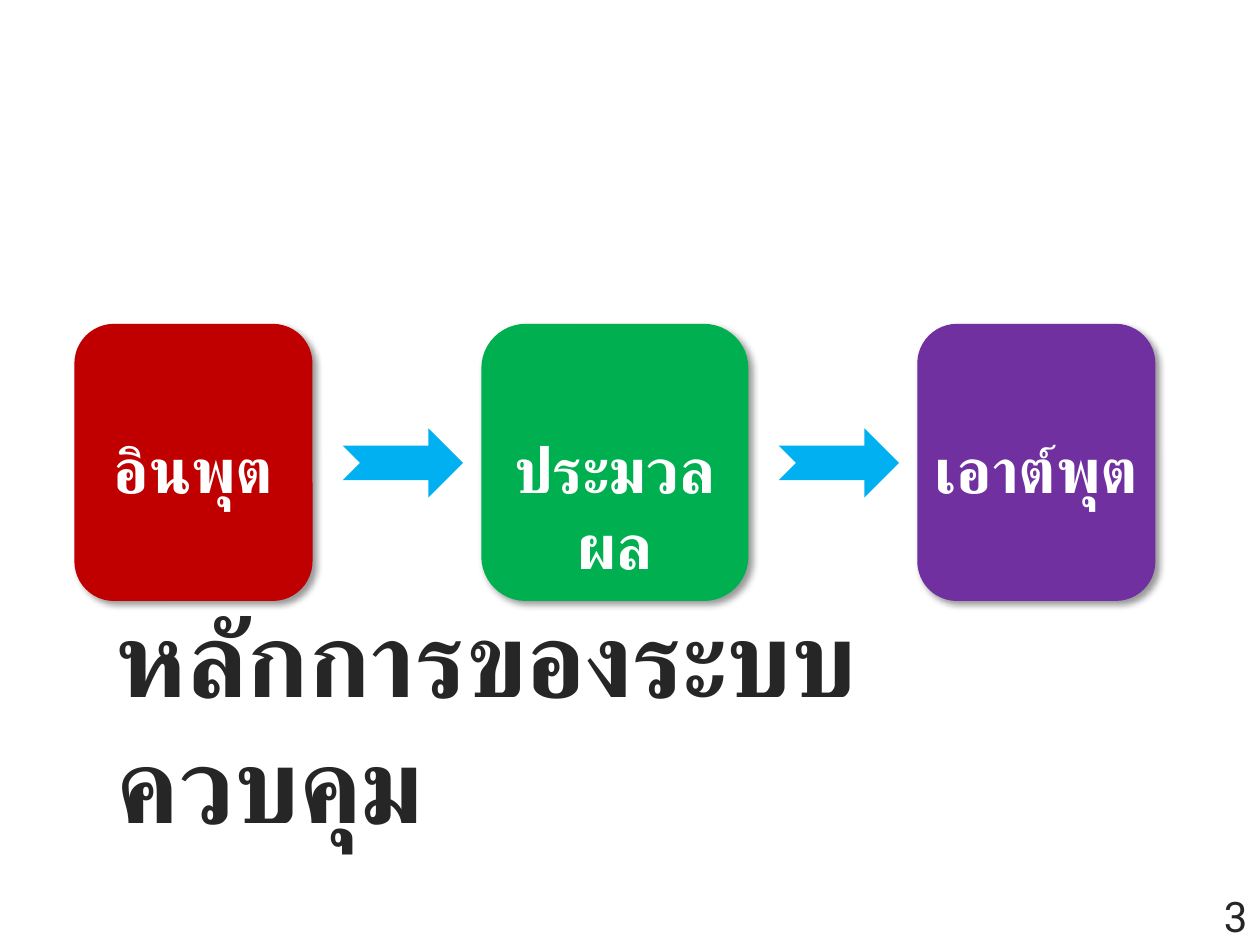
from lxml.etree import SubElement
from pptx import Presentation
from pptx.dml.color import RGBColor
from pptx.enum.shapes import MSO_SHAPE as Shape
from pptx.enum.text import MSO_ANCHOR as Anchor, PP_ALIGN as Align
from pptx.oxml.ns import qn
from pptx.util import Inches, Pt

WIDE, HIGH = Inches(10), Inches(7.5)
FONT, DARK, WHITE, SKY = "Roboto", "262626", "FFFFFF", "00B0F0"
STEPS = [
    ("อินพุต", 5.9, 18.9, "C00000"),
    ("ประมวลผล", 38.2, 21.2, "00B050"),
    ("เอาต์พุต", 72.8, 18.9, "7030A0"),
]
ARROWS = [27.2, 61.8]


def color(code):
    """Turn a hex string into a colour."""
    return RGBColor.from_string(code)


def place(left, top, width, height):
    """Turn percentages of the slide's size into lengths."""
    return [int(side * share / 100) for side, share in
            zip((WIDE, HIGH, WIDE, HIGH), (left, top, width, height))]


def block(slide, kind, area, fill):
    """Add a plain filled shape without a line."""
    shape = slide.shapes.add_shape(kind, *place(*area))
    shape.shadow.inherit = False
    shape.fill.solid()
    shape.fill.fore_color.rgb = color(fill)
    shape.line.fill.background()
    return shape


def shade(shape):
    """Give a shape a soft shadow to the lower right."""
    effects = shape._element.spPr.find(qn("a:effectLst"))
    outer = SubElement(effects, qn("a:outerShdw"), blurRad=str(Pt(4)),
                       dist=str(Pt(3)), dir=str(45 * 60000),
                       algn="tl", rotWithShape="0")
    tint = SubElement(outer, qn("a:srgbClr"), val="000000")
    SubElement(tint, qn("a:alpha"), val="40000")


def label(slide, text, area, size, code, bold=True,
          align=Align.LEFT, anchor=Anchor.TOP):
    """Add a wrapped text box with one run."""
    frame = slide.shapes.add_textbox(*place(*area)).text_frame
    frame.word_wrap = True
    frame.vertical_anchor = anchor
    para = frame.paragraphs[0]
    para.alignment = align
    run = para.add_run()
    run.text = text
    font = run.font
    font.name, font.size, font.bold = FONT, Pt(size), bold
    font.color.rgb = color(code)


def step(slide, text, left, width, fill):
    """Add one stage of the control system."""
    shade(block(slide, Shape.ROUNDED_RECTANGLE,
                (left, 34.27, width, 29.33), fill))
    label(slide, text, (left, 44.93, width, 9.47), 36, WHITE,
          align=Align.CENTER)


def main():
    """Build the slide and save it."""
    deck = Presentation()
    deck.slide_width, deck.slide_height = WIDE, HIGH
    slide = deck.slides.add_slide(deck.slide_layouts[6])
    label(slide, "หลักการของระบบควบคุม", (8.3, 73.07, 74.2, 16.93), 60, DARK,
          anchor=Anchor.BOTTOM)
    label(slide, "3", (91.7, 94.27, 8.3, 5.33), 24, DARK, bold=False,
          align=Align.RIGHT, anchor=Anchor.MIDDLE)
    for item in STEPS:
        step(slide, *item)
    for left in ARROWS:
        block(slide, Shape.NOTCHED_RIGHT_ARROW, (left, 45.33, 9.55, 7.33), SKY)
    deck.save("out.pptx")


if __name__ == "__main__":
    main()
